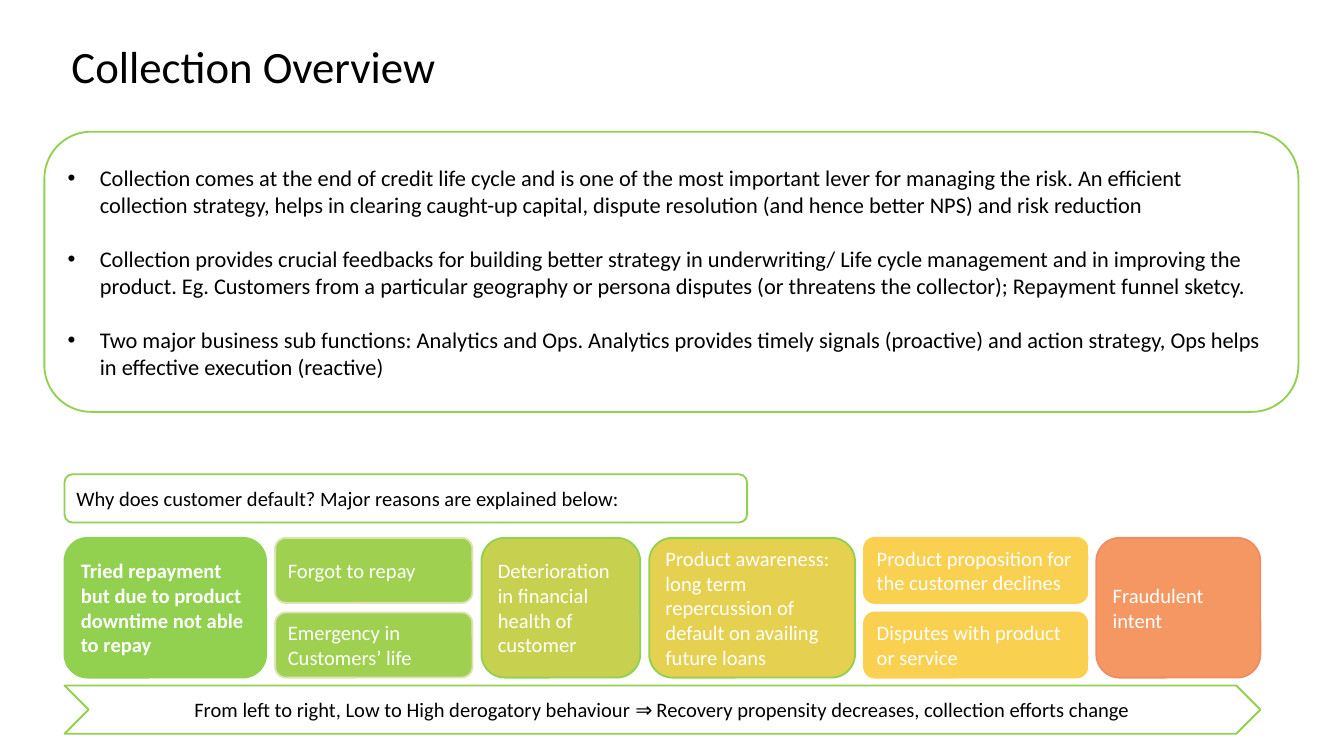
from lxml.etree import SubElement
from pptx import Presentation
from pptx.dml.color import RGBColor
from pptx.enum.shapes import MSO_SHAPE
from pptx.enum.text import MSO_ANCHOR, PP_ALIGN
from pptx.oxml.ns import qn
from pptx.util import Cm, Pt

COLOURS = {
    "black": "000000", "white": "FFFFFF", "green": "92D050",
    "light_green": "A0D050", "pale_green": "DDE2B2", "olive": "C8D050",
    "mustard": "E6D050", "yellow": "FAD050", "orange": "F59763",
    "dark_orange": "EE8D62",
}
FONT = "Calibri"

POINTS = [
    "Collection comes at the end of credit life cycle and is one of the most important lever for "
    "managing the risk. An efficient collection strategy, helps in clearing caught-up capital, "
    "dispute resolution (and hence better NPS) and risk reduction",
    "Collection provides crucial feedbacks for building better strategy in underwriting/ Life cycle "
    "management and in improving the product. Eg. Customers from a particular geography or persona "
    "disputes (or threatens the collector); Repayment funnel sketcy.",
    "Two major business sub functions: Analytics and Ops. Analytics provides timely signals "
    "(proactive) and action strategy, Ops helps in effective execution (reactive)",
]

# Column width in cm, fill, line, bold, stacked reasons
REASON_COLUMNS = [
    (3.81, "green", "green", True,
     ["Tried repayment but due to product downtime not able to repay"]),
    (3.73, "light_green", "pale_green", False,
     ["Forgot to repay", "Emergency in Customers’ life"]),
    (3.0, "olive", "green", False,
     ["Deterioration in financial health of customer"]),
    (3.89, "mustard", "green", False,
     ["Product awareness: long term repercussion of default on availing future loans"]),
    (4.22, "yellow", "yellow", False,
     ["Product proposition for the customer declines", "Disputes with product or service"]),
    (3.1, "orange", "dark_orange", False, ["Fraudulent intent"]),
]


def colour(name):
    return RGBColor.from_string(COLOURS[name])


def add_bullet(paragraph, indent=0.61):
    properties = paragraph._p.get_or_add_pPr()
    properties.set("marL", str(Cm(indent)))
    properties.set("indent", str(-Cm(indent)))
    SubElement(properties, qn("a:buFont")).set("typeface", "Arial")
    SubElement(properties, qn("a:buChar")).set("char", "•")


def write_text(shape, *texts, size=11, color="black", bold=False, align=PP_ALIGN.LEFT,
               bullets=False, gap=0, line_spacing=None):
    frame = shape.text_frame
    frame.word_wrap = True
    frame.vertical_anchor = MSO_ANCHOR.MIDDLE
    frame.margin_left = frame.margin_right = Cm(0.18)
    frame.margin_top = frame.margin_bottom = Cm(0.1)
    for index, text in enumerate(texts):
        paragraph = frame.add_paragraph() if index else frame.paragraphs[0]
        paragraph.alignment = align
        if line_spacing:
            paragraph.line_spacing = line_spacing
        if index and gap:
            paragraph.space_before = Pt(gap)
        if bullets:
            add_bullet(paragraph)
        run = paragraph.add_run()
        run.text = text
        run.font.name = FONT
        run.font.size = Pt(size)
        run.font.bold = bold
        run.font.color.rgb = colour(color)


def add_panel(slide, box, kind=MSO_SHAPE.ROUNDED_RECTANGLE, fill=None, line="green"):
    shape = slide.shapes.add_shape(kind, *(Cm(length) for length in box))
    shape.shadow.inherit = False
    if fill:
        shape.fill.solid()
        shape.fill.fore_color.rgb = colour(fill)
    else:
        shape.fill.background()
    shape.line.color.rgb = colour(line)
    shape.line.width = Pt(1)
    return shape


def add_title(slide, box):
    title = slide.shapes.add_textbox(*(Cm(length) for length in box))
    write_text(title, "Collection Overview", size=24, line_spacing=0.9)


def add_overview(slide, box):
    write_text(add_panel(slide, box), *POINTS, size=12, bullets=True, gap=14.6)


def add_question(slide, box):
    write_text(add_panel(slide, box),
               "Why does customer default? Major reasons are explained below:")


def add_reasons(slide, box, row_gap=0.18):
    """Lay the columns from left to right, sharing the spare width as equal gaps."""
    left, top, width, height = box
    spare = width - sum(column[0] for column in REASON_COLUMNS)
    column_gap = spare / (len(REASON_COLUMNS) - 1)
    for column_width, fill, line, bold, reasons in REASON_COLUMNS:
        card_height = (height - row_gap * (len(reasons) - 1)) / len(reasons)
        for row, reason in enumerate(reasons):
            card_top = top + row * (card_height + row_gap)
            card = add_panel(slide, (left, card_top, column_width, card_height),
                             fill=fill, line=line)
            write_text(card, reason, color="white", bold=bold)
        left += column_width + column_gap


def add_risk_arrow(slide, box):
    write_text(add_panel(slide, box, kind=MSO_SHAPE.CHEVRON),
               "From left to right, Low to High derogatory behaviour ⇒ "
               "Recovery propensity decreases, collection efforts change",
               align=PP_ALIGN.CENTER)


def main():
    presentation = Presentation()
    presentation.slide_width = Cm(25.4)
    presentation.slide_height = Cm(14.28)
    slide = presentation.slides.add_slide(presentation.slide_layouts[6])
    add_overview(slide, (0.84, 2.49, 23.7, 5.29))
    add_title(slide, (1.17, 0.48, 21.9, 1.65))
    add_question(slide, (1.22, 8.96, 12.9, 0.91))
    add_reasons(slide, (1.22, 10.16, 22.6, 2.64))
    add_risk_arrow(slide, (1.22, 12.95, 22.6, 0.91))
    presentation.save("out.pptx")


if __name__ == "__main__":
    main()
